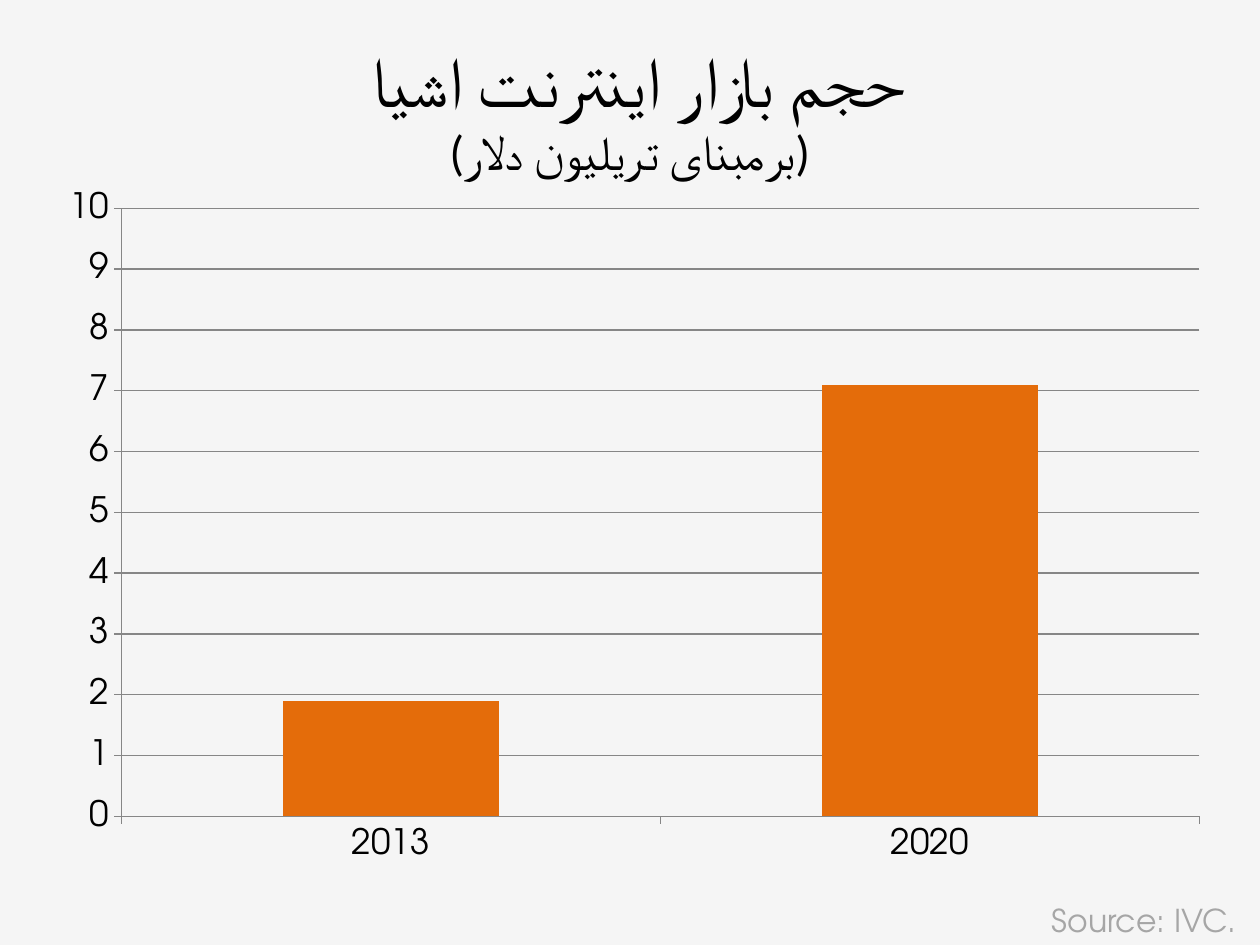
from lxml import etree
from pptx import Presentation, util as u
from pptx.chart.data import CategoryChartData
from pptx.dml.color import RGBColor
from pptx.enum import chart as ch, text
from pptx.oxml import ns

LATIN_FONT = "TeX Gyre Adventor"
TITLE_FONT = "Calibri"
AXIS_GREY = "868686"


def color(hex_code):
    return RGBColor.from_string(hex_code)


def inches(box):
    return [u.Inches(length) for length in box]


def style(font, name, size, hex_code):
    font.name = name
    font.size = u.Pt(size)
    font.color.rgb = color(hex_code)


def set_plot_box(chart, **shares):
    """Pin the inner plot area, in shares of the chart's size."""
    plot_area = chart._chartSpace.chart.plotArea
    for old in plot_area.findall(ns.qn("c:layout")):
        plot_area.remove(old)
    layout = etree.Element(ns.qn("c:layout"))
    manual = etree.SubElement(layout, ns.qn("c:manualLayout"))
    settings = {"layoutTarget": "inner", "xMode": "edge", "yMode": "edge", **shares}
    for tag, value in settings.items():
        etree.SubElement(manual, ns.qn(f"c:{tag}")).set("val", str(value))
    plot_area.insert(0, layout)


def add_market_chart(slide, box):
    market = CategoryChartData()
    market.categories = ["2013", "2020"]
    market.add_series("Series 1", [1.9, 7.1])
    chart = slide.shapes.add_chart(
        ch.XL_CHART_TYPE.COLUMN_CLUSTERED, *inches(box), market).chart
    chart.has_legend = False
    chart.has_title = False
    style(chart.font, TITLE_FONT, 18, "000000")
    set_plot_box(chart, x=0.076, y=0.231, w=0.908, h=0.674)

    for axis in (chart.category_axis, chart.value_axis):
        style(axis.tick_labels.font, LATIN_FONT, 20, "000000")
        axis.major_tick_mark = ch.XL_TICK_MARK.OUTSIDE
        axis.minor_tick_mark = ch.XL_TICK_MARK.NONE
        axis.format.line.color.rgb = color(AXIS_GREY)
    scale = chart.value_axis
    scale.minimum_scale, scale.maximum_scale, scale.major_unit = 0, 10, 1
    scale.has_major_gridlines = True
    scale.major_gridlines.format.line.color.rgb = color(AXIS_GREY)

    columns = chart.plots[0]
    columns.gap_width = 150
    columns.vary_by_categories = False
    bars = columns.series[0].format
    bars.fill.solid()
    bars.fill.fore_color.rgb = color("E46C0A")
    bars.line.fill.background()


def add_text(slide, box, wrap):
    frame = slide.shapes.add_textbox(*inches(box)).text_frame
    frame.word_wrap = wrap
    frame.auto_size = text.MSO_AUTO_SIZE.SHAPE_TO_FIT_TEXT
    return frame


def set_script_font(run, name):
    """Set the font that right-to-left letters use."""
    properties = run._r.get_or_add_rPr()
    etree.SubElement(properties, ns.qn("a:cs")).set("typeface", name)


def add_title(slide, box):
    frame = add_text(slide, box, wrap=True)
    lines = [("حجم بازار اینترنت اشیا ", 40), ("(برمبنای تریلیون دلار)", 28)]
    frame.text = "\n".join(line for line, _ in lines)
    for paragraph, (_, size) in zip(frame.paragraphs, lines):
        paragraph.alignment = text.PP_ALIGN.CENTER
        paragraph._p.get_or_add_pPr().set("rtl", "1")
        style(paragraph.font, TITLE_FONT, size, "000000")
        set_script_font(paragraph.runs[0], TITLE_FONT)


def add_source(slide, box):
    frame = add_text(slide, box, wrap=False)
    frame.text = "Source: IVC."
    style(frame.paragraphs[0].font, LATIN_FONT, 18, "A6A6A6")


def main():
    deck = Presentation()
    deck.slide_width, deck.slide_height = inches((10, 7.5))
    slide = deck.slides.add_slide(deck.slide_layouts[6])
    slide.background.fill.solid()
    slide.background.fill.fore_color.rgb = color("F5F5F5")
    add_market_chart(slide, (0.25, 0, 9.42, 7.16))
    add_source(slide, (8.25, 7.1, 1.71, 0.4))
    add_title(slide, (0, 0.25, 10, 1.25))
    deck.save("out.pptx")


if __name__ == "__main__":
    main()
